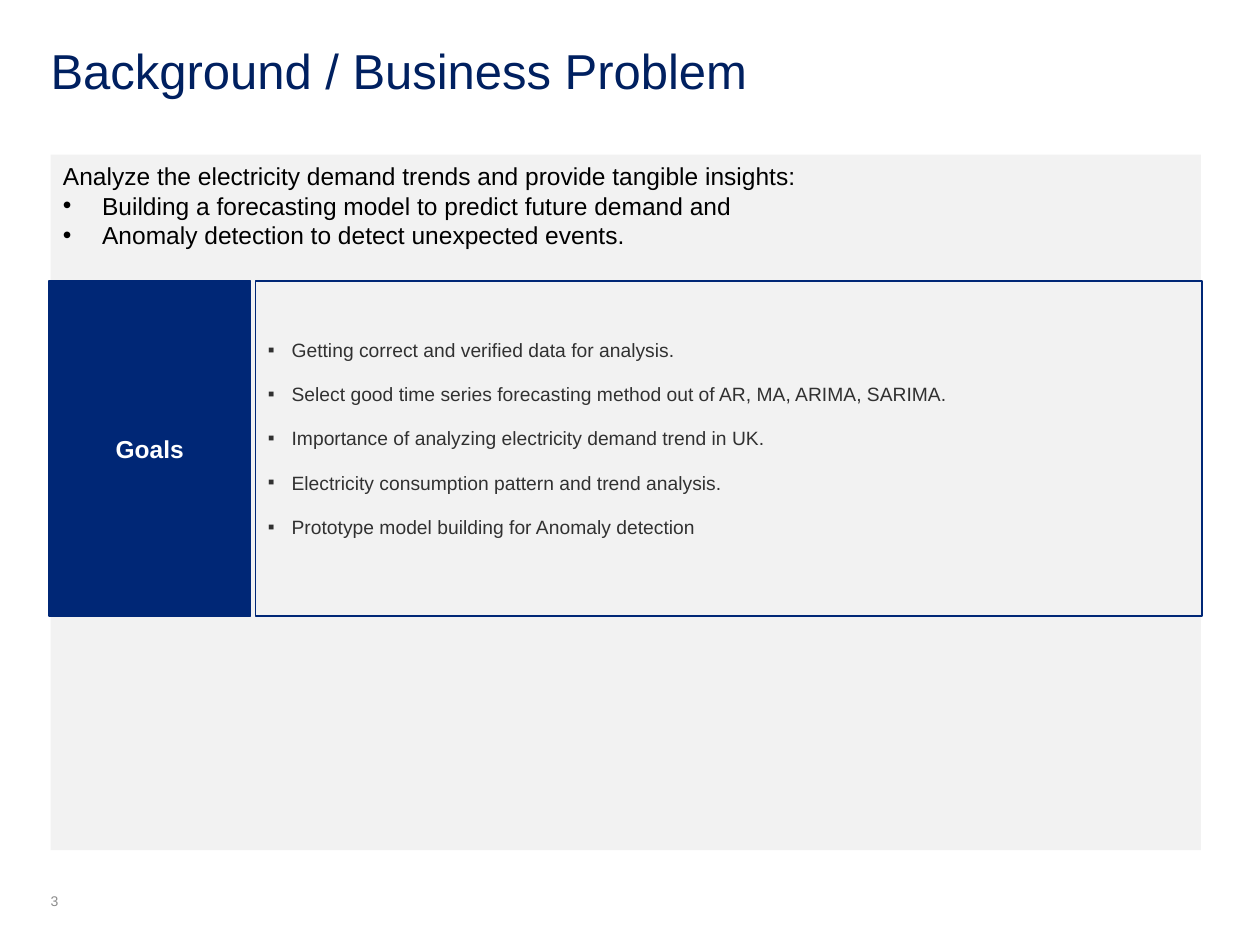
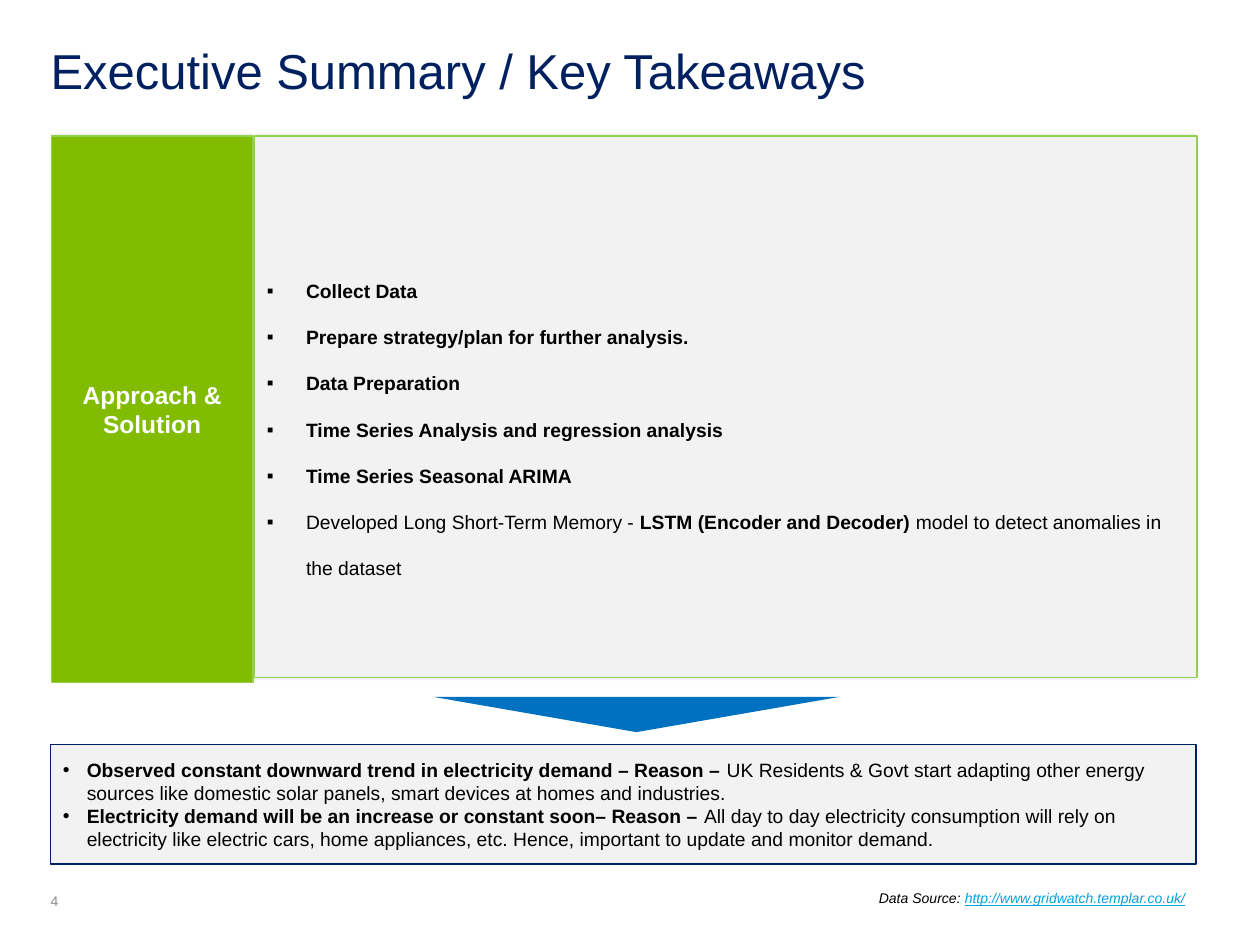
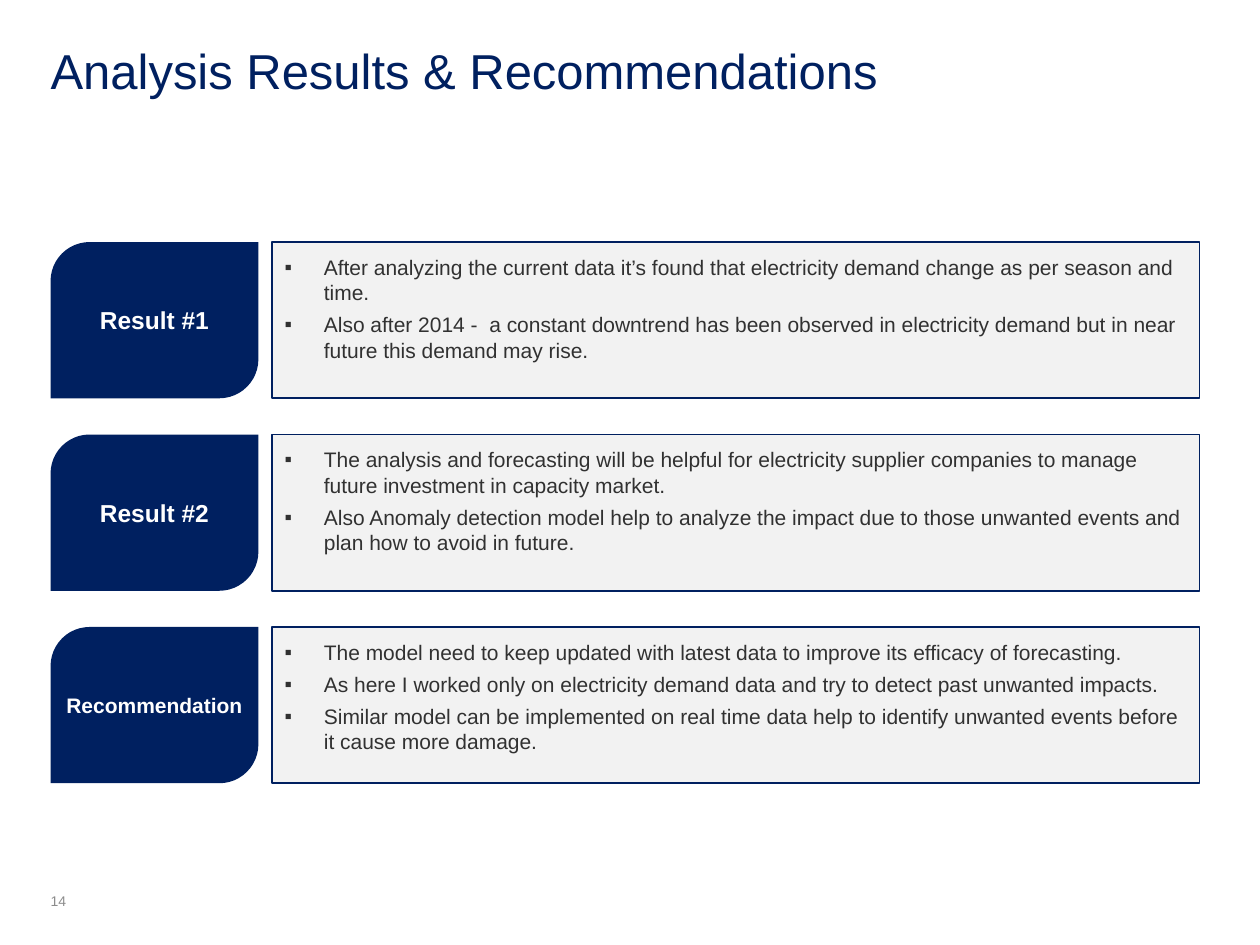
from lxml.etree import SubElement
from pptx import Presentation
from pptx.dml.color import RGBColor
from pptx.enum.shapes import MSO_SHAPE as SHAPE
from pptx.enum.text import MSO_ANCHOR as ANCHOR, PP_ALIGN as ALIGN
from pptx.oxml.ns import qn
from pptx.util import Cm, Pt

COLORS = {
    "navy": "002060",
    "blue": "002776",
    "arrow": "0070C0",
    "green": "81BC00",
    "lime": "92D050",
    "panel": "F2F2F2",
    "text": "313131",
    "black": "000000",
    "white": "FFFFFF",
    "number": "8C8C8C",
    "link": "00A1DE",
}
FONT = "Arial"
LEFT = 1.02
INSETS = (0.25, 0.13, 0.25, 0.13)
SQUARE, DOT = "▪", "•"


def rgb(name):
    return RGBColor.from_string(COLORS[name])


def add_run(p, text, size, color, bold=False, italic=False, underline=False):
    r = p.add_run()
    r.text = text
    f = r.font
    f.name, f.size, f.bold, f.italic, f.underline = FONT, Pt(size), bold, italic, underline
    f.color.rgb = rgb(color)


def set_bullet(p, char, indent):
    ppr = p._p.get_or_add_pPr()
    ppr.set("marL", str(Cm(indent)))
    ppr.set("indent", str(-Cm(indent)))
    SubElement(ppr, qn("a:buFont")).set("typeface", FONT)
    SubElement(ppr, qn("a:buChar")).set("char", char)


def set_frame(tf, anchor=ANCHOR.TOP, insets=INSETS):
    tf.word_wrap = True
    tf.vertical_anchor = anchor
    tf.margin_left, tf.margin_top, tf.margin_right, tf.margin_bottom = map(Cm, insets)


def next_paragraph(tf):
    first = tf.paragraphs[0]
    return tf.add_paragraph() if first.runs else first


def add_bullets(tf, items, size, color, char=SQUARE, indent=0.79, before=0, spacing=None):
    for i, item in enumerate(items):
        p = next_paragraph(tf)
        p.alignment = ALIGN.LEFT
        set_bullet(p, char, indent)
        p.line_spacing = spacing
        if i and before:
            p.space_before = Pt(before)
        for text, bold in [(item, False)] if isinstance(item, str) else item:
            add_run(p, text, size, color, bold)


def add_box(s, box, fill=None, line=None, kind=SHAPE.RECTANGLE):
    sp = s.shapes.add_shape(kind, *map(Cm, box))
    sp.shadow.inherit = False
    if fill:
        sp.fill.solid()
        sp.fill.fore_color.rgb = rgb(fill)
    else:
        sp.fill.background()
    if line:
        sp.line.color.rgb = rgb(line)
        sp.line.width = Pt(1)
    else:
        sp.line.fill.background()
    return sp


def add_label(s, box, text, fill, line=None, size=14, kind=SHAPE.RECTANGLE, insets=INSETS):
    sp = add_box(s, box, fill, line, kind)
    set_frame(sp.text_frame, ANCHOR.MIDDLE, insets)
    p = sp.text_frame.paragraphs[0]
    p.alignment = ALIGN.CENTER
    add_run(p, text, size, "white", bold=True)
    return sp


def add_text_box(s, box, anchor, insets):
    tf = s.shapes.add_textbox(*map(Cm, box)).text_frame
    set_frame(tf, anchor, insets)
    return tf.paragraphs[0]


def split(box, label_w, gap):
    x, y, w, h = box
    body_x = label_w + gap
    return (x, y, label_w, h), (x + body_x, y, w - body_x, h)


def add_slide(prs, title, number):
    s = prs.slides.add_slide(prs.slide_layouts[5])
    sp = s.shapes.title
    sp.left, sp.top, sp.width, sp.height = map(Cm, (LEFT, 0.81, 23.37, 1.3))
    set_frame(sp.text_frame, insets=(0, 0, 0, 0))
    p = sp.text_frame.paragraphs[0]
    p.alignment = ALIGN.LEFT
    add_run(p, title, 28, "navy")
    p = add_text_box(s, (LEFT, 18.01, 1.27, 0.33), ANCHOR.BOTTOM, (0, 0, 0, 0))
    add_run(p, str(number), 8, "number")
    return s


def add_problem(s, box):
    tf = add_box(s, box, "panel").text_frame
    set_frame(tf)
    p = tf.paragraphs[0]
    p.alignment = ALIGN.LEFT
    add_run(p, "Analyze the electricity demand trends and provide tangible insights:", 14, "black")
    add_bullets(tf, [
        "Building a forecasting model to predict future demand and",
        "Anomaly detection to detect unexpected events.",
    ], 14, "black", DOT)


def add_goals(s, box):
    label, body = split(box, 4.06, 0.1)
    add_label(s, label, "Goals", "blue", "blue")
    tf = add_box(s, body, line="blue").text_frame
    set_frame(tf, ANCHOR.MIDDLE, (0.25, 0.13, 0.25, 0.54))
    add_bullets(tf, [
        "Getting correct and verified data for analysis.",
        "Select good time series forecasting method out of AR, MA, ARIMA, SARIMA.",
        "Importance of analyzing electricity demand trend in UK.",
        "Electricity consumption pattern and trend analysis.",
        "Prototype model building for Anomaly detection",
    ], 11, "text", indent=0.48, before=12)


def add_approach(s, box):
    x, y, w, h = box
    add_box(s, (LEFT, y - 0.05, w, h), "panel")
    label, (bx, by, bw, bh) = split(box, 4.06, 0.03)
    add_label(s, label, "Approach & Solution", "green", "lime")
    tf = add_box(s, (bx, by, bw, bh - 0.1), line="lime").text_frame
    set_frame(tf, ANCHOR.MIDDLE, (0.25, 0.58, 0.25, 0.13))
    steps = [
        "Collect Data",
        "Prepare strategy/plan for further analysis.",
        "Data Preparation",
        "Time Series Analysis and regression analysis",
        "Time Series Seasonal ARIMA",
    ]
    model = [
        ("Developed Long Short-Term Memory - ", False),
        ("LSTM (Encoder and Decoder) ", True),
        ("model to detect anomalies in the dataset", False),
    ]
    add_bullets(tf, [[(step, True)] for step in steps] + [model], 11, "black",
                spacing=Pt(26.4))


def add_takeaways(s, box):
    tf = add_box(s, box, "panel", "navy").text_frame
    set_frame(tf, ANCHOR.MIDDLE)
    add_bullets(tf, [
        [("Observed constant downward trend in electricity demand – Reason – ", True),
         ("UK Residents & Govt start adapting other energy sources like domestic solar panels, "
          "smart devices at homes and industries.", False)],
        [("Electricity demand will be an increase or constant soon– Reason – ", True),
         ("All day to day electricity consumption will rely on electricity like electric cars, "
          "home appliances, etc. Hence, important to update and monitor demand.", False)],
    ], 11, "black", DOT, 0.48)


def add_source(s, box):
    p = add_text_box(s, box, ANCHOR.TOP, (0.25, 0.13, 0.33, 0.13))
    p.alignment = ALIGN.RIGHT
    add_run(p, "Data Source: ", 8, "black", italic=True)
    add_run(p, "http://www.gridwatch.templar.co.uk/", 8, "link", italic=True, underline=True)


def add_result(s, box, name, size, items):
    label, body = split(box, 4.19, 0.28)
    sp = add_label(s, label, name, "navy", size=size, kind=SHAPE.ROUND_2_DIAG_RECTANGLE,
                   insets=(0, 0, 0, 0))
    sp.adjustments[0] = 0.25
    tf = add_box(s, body, "panel", "navy").text_frame
    set_frame(tf, insets=(0.25, 0.25, 0.25, 0.25))
    add_bullets(tf, items, 12, "text", before=4)


def build_background(prs):
    s = add_slide(prs, "Background / Business Problem", 3)
    add_problem(s, (LEFT, 3.12, 23.19, 14.02))
    add_goals(s, (0.99, 5.66, 23.24, 6.76))


def build_summary(prs):
    s = add_slide(prs, "Executive Summary / Key Takeaways", 4)
    add_approach(s, (1.04, 2.74, 23.09, 11.02))
    add_box(s, (8.74, 14.05, 8.18, 0.71), "arrow", kind=SHAPE.FLOWCHART_MERGE)
    add_source(s, (13.97, 17.81, 10.26, 0.61))
    add_takeaways(s, (LEFT, 15.01, 23.09, 2.41))


def build_results(prs):
    s = add_slide(prs, "Analysis Results & Recommendations", 14)
    results = [
        ("Result #1", 14, [
            "After analyzing the current data it’s found that electricity demand change as per "
            "season and time.",
            "Also after 2014 -  a constant downtrend has been observed in electricity demand "
            "but in near future this demand may rise.",
        ]),
        ("Result #2", 14, [
            "The analysis and forecasting will be helpful for electricity supplier companies "
            "to manage future investment in capacity market.",
            "Also Anomaly detection model help to analyze the impact due to those unwanted "
            "events and plan how to avoid in future.",
        ]),
        ("Recommendation", 12, [
            "The model need to keep updated with latest data to improve its efficacy of "
            "forecasting.",
            "As here I worked only on electricity demand data and try to detect past unwanted "
            "impacts.",
            "Similar model can be implemented on real time data help to identify unwanted "
            "events before it cause more damage.",
        ]),
    ]
    for i, (name, size, items) in enumerate(results):
        add_result(s, (LEFT, 4.88 + 3.88 * i, 23.16, 3.15), name, size, items)


def main():
    prs = Presentation()
    prs.slide_width, prs.slide_height = Cm(25.4), Cm(19.05)
    build_background(prs)
    build_summary(prs)
    build_results(prs)
    prs.save("out.pptx")


if __name__ == "__main__":
    main()
